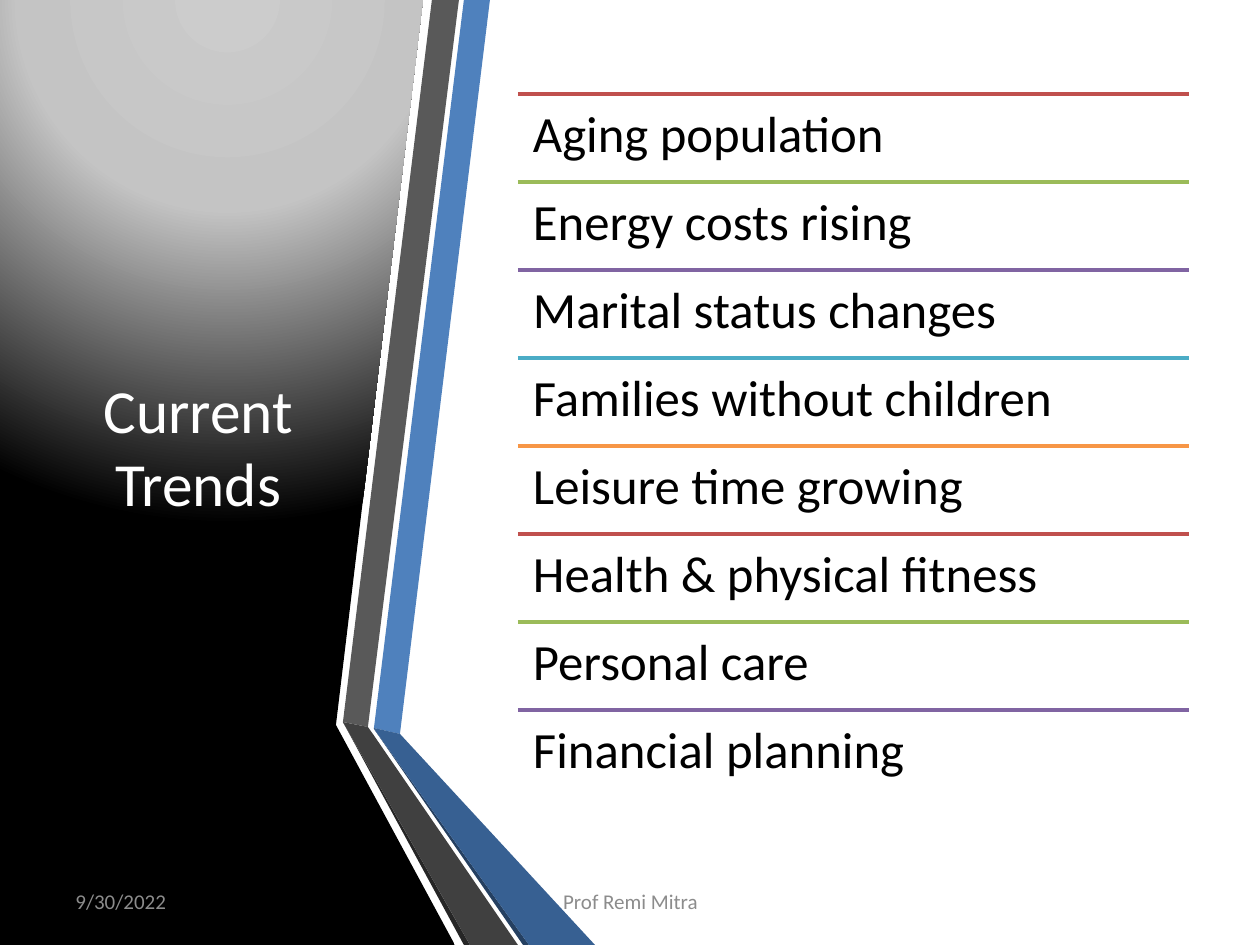
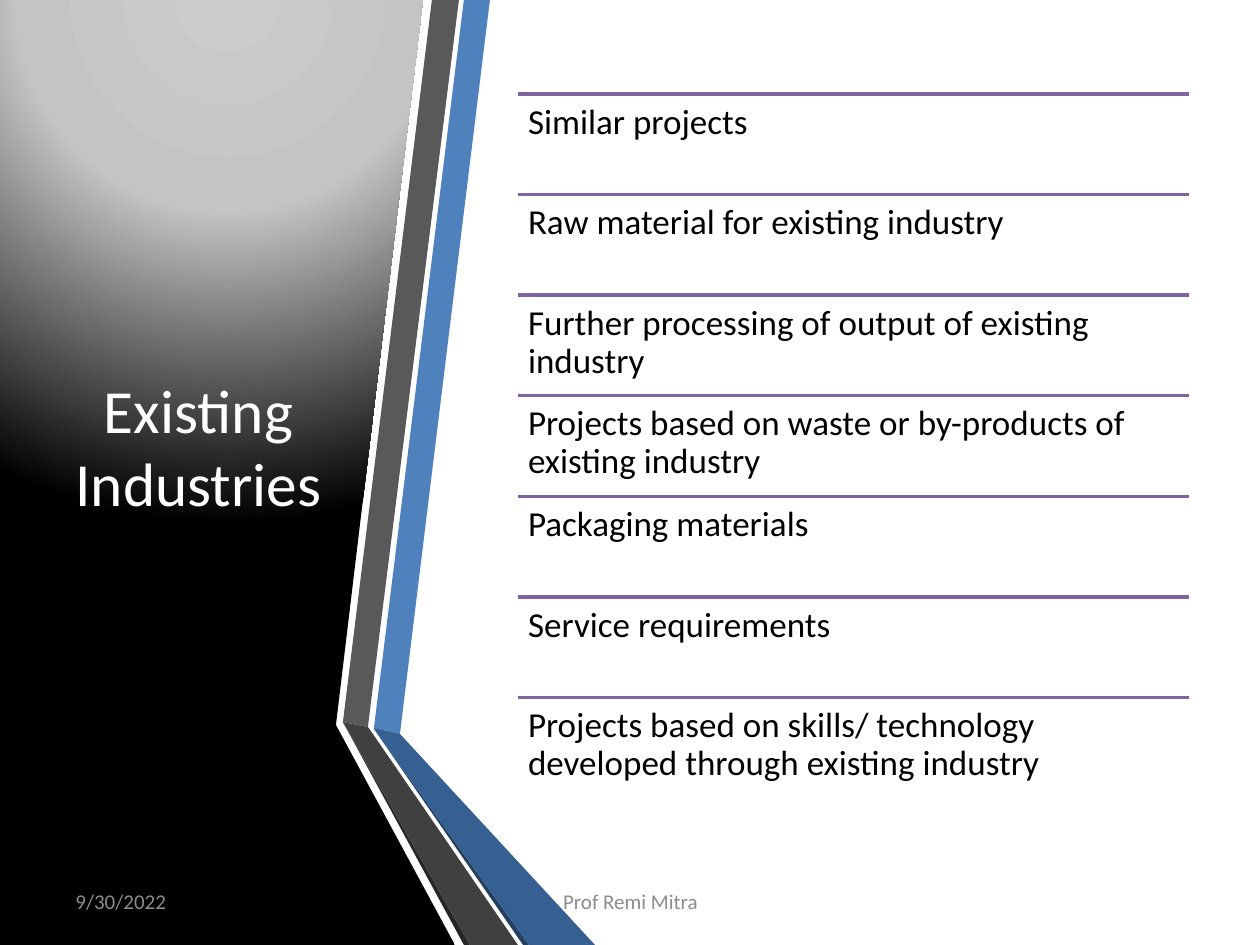
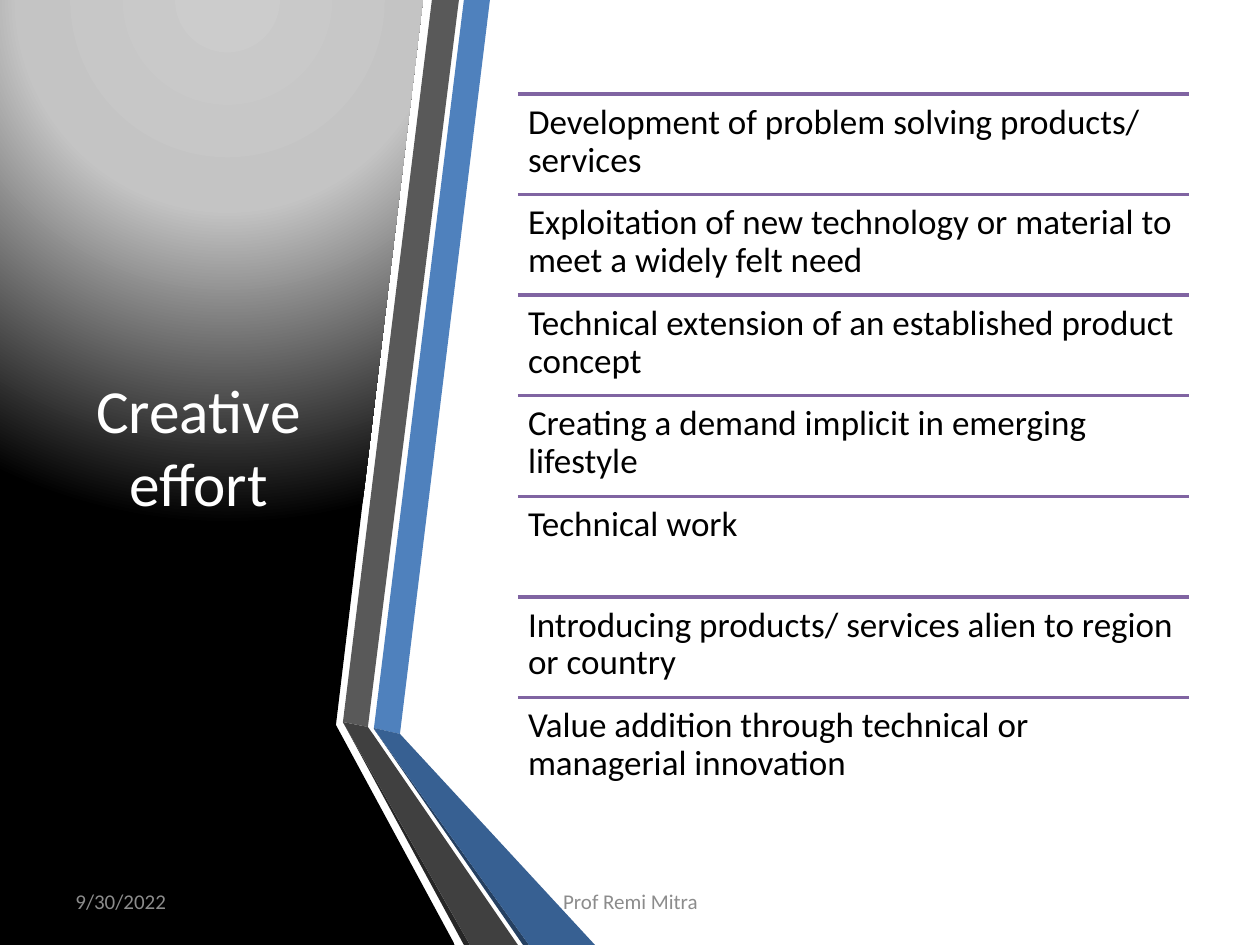
"""Build three list slides with a shaded title panel and folded ribbons."""
from lxml import etree
from pptx import Presentation
from pptx.dml.color import RGBColor
from pptx.enum.shapes import MSO_CONNECTOR
from pptx.enum.text import MSO_ANCHOR, MSO_AUTO_SIZE, PP_ALIGN
from pptx.oxml import parse_xml
from pptx.oxml.ns import qn
from pptx.util import Emu, Pt

RED, GREEN, PURPLE, TEAL, ORANGE = "C0504D", "9BBB59", "8064A2", "4BACC6", "F79646"
WHITE, BLACK, GRAY = "FFFFFF", "000000", "8C8C8C"
FONT = "Calibri"
SCALE = 914400 / 126

SLIDES = [
    {"title": "Current Trends", "size": 29, "inset": 15,
     "hues": [RED, GREEN, PURPLE, TEAL, ORANGE],
     "rows": ["Aging population", "Energy costs rising",
              "Marital status changes", "Families without children",
              "Leisure time growing", "Health & physical fitness",
              "Personal care", "Financial planning"]},
    {"title": "Existing Industries", "size": 20, "inset": 10, "hues": [PURPLE],
     "rows": ["Similar projects", "Raw material for existing industry",
              "Further processing of output of existing industry",
              "Projects based on waste or by-products of existing industry",
              "Packaging materials", "Service requirements",
              "Projects based on skills/ technology developed through "
              "existing industry"]},
    {"title": "Creative effort", "size": 20, "inset": 10, "hues": [PURPLE],
     "rows": ["Development of problem solving products/ services",
              "Exploitation of new technology or material to meet a widely "
              "felt need",
              "Technical extension of an established product concept",
              "Creating a demand implicit in emerging lifestyle",
              "Technical work",
              "Introducing products/ services alien to region or country",
              "Value addition through technical or managerial innovation"]},
]
FOOTERS = [("9/30/2022", (63, 876, 294, 50), PP_ALIGN.LEFT),
           ("Prof Remi Mitra", (431, 876, 399, 50), PP_ALIGN.CENTER)]
TITLE = (55, 94, 287, 703)
LIST = (518, 94, 671, 704)
PANEL = [(0, 0), (423, 0), (336, 725), (455, 945), (0, 945)]
RIBBONS = [
    ("4F81BD", [(374, 728), (400, 734), (490, 0), (464, 0)]),
    ("595959", [(459, 0), (432, 0), (343, 722), (368, 727)]),
    ("262626", [(343, 722), (464, 945), (470, 945)]),
    ("254061", [(374, 729), (523, 945), (529, 945)]),
    ("376092", [(374, 729), (529, 945), (595, 945), (400, 734), (374, 728)]),
    ("404040", [(518, 945), (373, 734), (368, 727), (343, 722), (470, 945)]),
]
GLOW = """<a:gradFill xmlns:a="http://schemas.openxmlformats.org/drawingml/2006/main">
<a:gsLst><a:gs pos="0"><a:srgbClr val="CCCCCC"/></a:gs>
<a:gs pos="40000"><a:srgbClr val="C4C4C4"/></a:gs>
<a:gs pos="100000"><a:srgbClr val="000000"/></a:gs></a:gsLst>
<a:path path="circle"><a:fillToRect l="50000" t="-80000" r="50000" b="180000"/></a:path>
</a:gradFill>"""


def px(num):
    return Emu(round(num * SCALE))


def tint(code):
    return RGBColor.from_string(code)


def write(shape, text, size, hue, align, anchor, inset=None):
    frame = shape.text_frame
    frame.text = text
    frame.word_wrap = True
    frame.auto_size = MSO_AUTO_SIZE.NONE
    frame.vertical_anchor = anchor
    if inset is not None:
        frame.margin_left = frame.margin_right = px(inset)
        frame.margin_top = frame.margin_bottom = px(inset)
    para = frame.paragraphs[0]
    para.alignment = align
    para.font.size = Pt(size)
    para.font.name = FONT
    para.font.color.rgb = tint(hue)
    return para


def draw(slide, points, hue):
    pen = slide.shapes.build_freeform(*points[0], scale=SCALE)
    pen.add_line_segments(points[1:], close=True)
    shape = pen.convert_to_shape()
    shape.shadow.inherit = False
    shape.fill.solid()
    shape.fill.fore_color.rgb = tint(hue)
    shape.line.fill.background()
    return shape


def rule(slide, left, top, width, hue):
    line = slide.shapes.add_connector(
        MSO_CONNECTOR.STRAIGHT, px(left), px(top), px(left + width), px(top))
    line.line.color.rgb = tint(hue)
    line.line.width = Pt(2)
    etree.SubElement(line.element.spPr, qn("a:effectLst"))
    return line


def frame_slide(slide, text):
    panel = draw(slide, PANEL, BLACK)
    props = panel.element.spPr
    props.replace(props.find(qn("a:solidFill")), parse_xml(GLOW))
    slide.shapes.add_group_shape(
        [draw(slide, points, hue) for hue, points in RIBBONS])
    title = slide.shapes.title
    title.left, title.top, title.width, title.height = map(px, TITLE)
    write(title, text, 35, WHITE, PP_ALIGN.CENTER, MSO_ANCHOR.MIDDLE)
    title.element.getparent().append(title.element)


def add_rows(slide, data):
    left, top, width, height = LIST
    pitch = height / len(data["rows"])
    parts = []
    for i, text in enumerate(data["rows"]):
        y = top + i * pitch
        hue = data["hues"][i % len(data["hues"])]
        box = slide.shapes.add_textbox(px(left), px(y), px(width), px(pitch))
        para = write(box, text, data["size"], BLACK, PP_ALIGN.LEFT,
                     MSO_ANCHOR.TOP, data["inset"])
        para.line_spacing = 0.9
        parts += [rule(slide, left, y, width, hue), box]
    slide.shapes.add_group_shape(parts)


def main():
    deck = Presentation()
    deck.slide_width, deck.slide_height = px(1260), px(945)
    for data in SLIDES:
        slide = deck.slides.add_slide(deck.slide_layouts[5])
        frame_slide(slide, data["title"])
        add_rows(slide, data)
        for text, area, align in FOOTERS:
            box = slide.shapes.add_textbox(*map(px, area))
            write(box, text, 12, GRAY, align, MSO_ANCHOR.MIDDLE)
    deck.save("out.pptx")


main()
